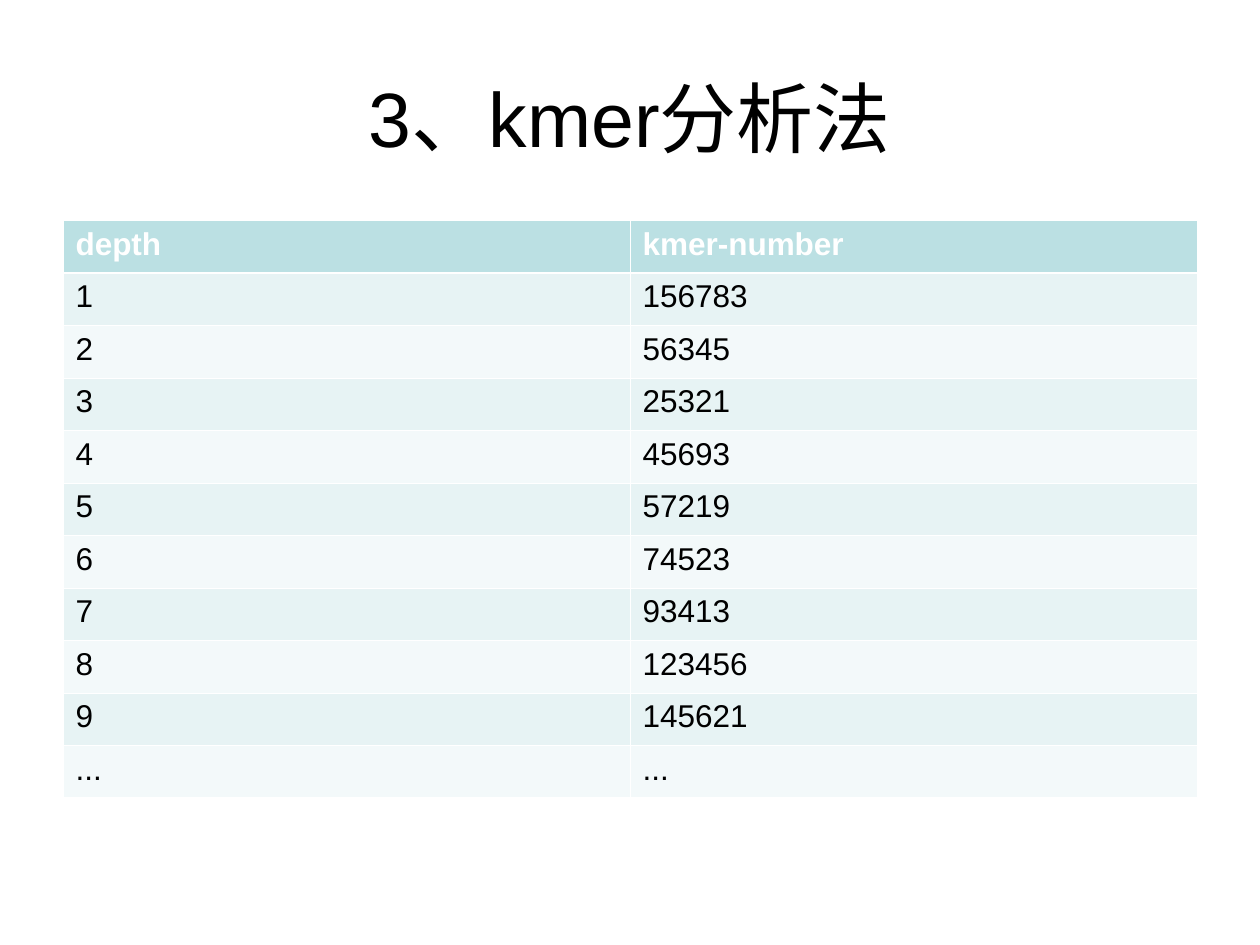
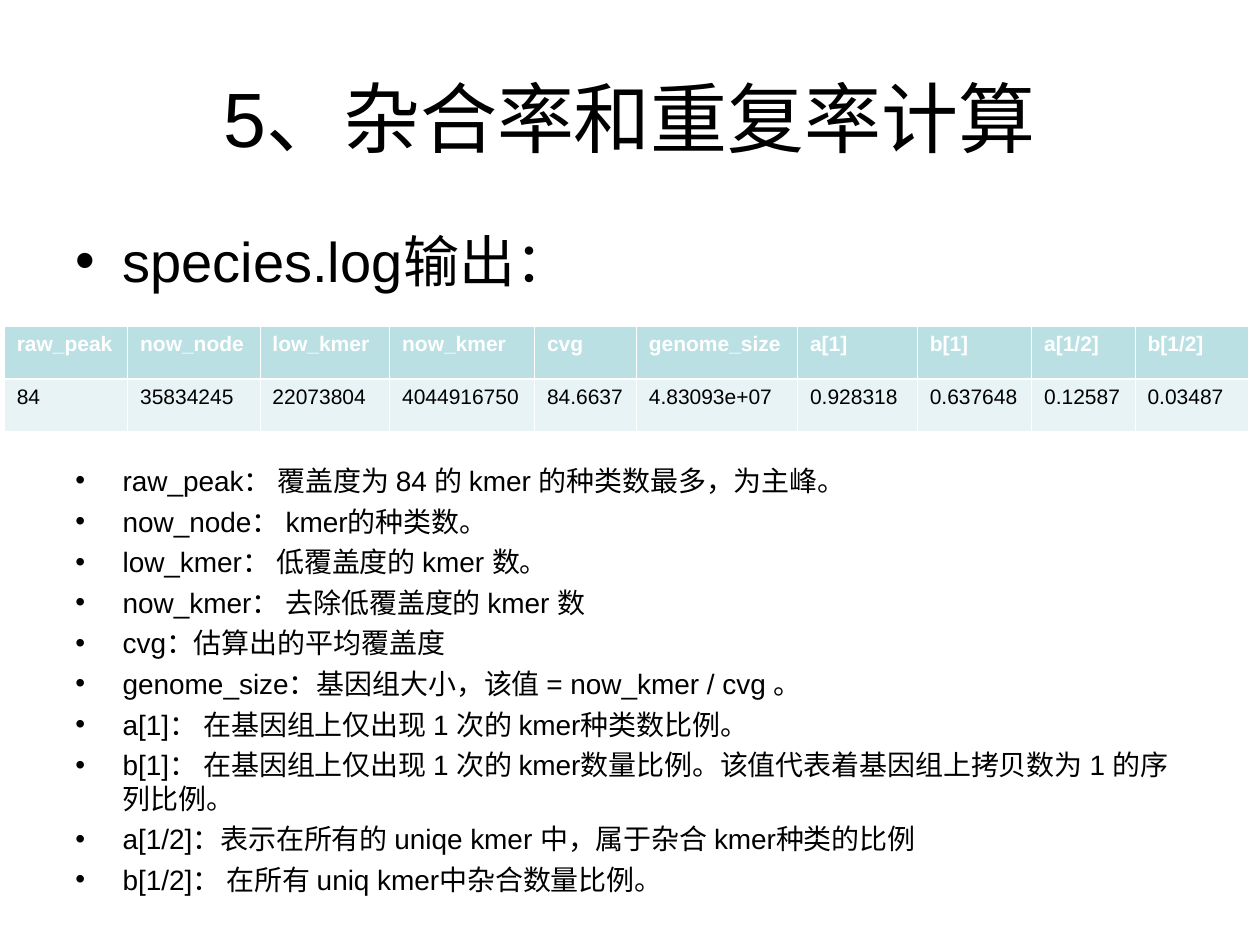
from lxml import etree
from pptx import Presentation
from pptx.dml.color import RGBColor
from pptx.enum.lang import MSO_LANGUAGE_ID
from pptx.enum.text import MSO_ANCHOR, PP_ALIGN
from pptx.oxml.ns import qn
from pptx.util import Pt

PX = 3810
FONT = "Arial"
BLACK = RGBColor(0x00, 0x00, 0x00)
WHITE = RGBColor(0xFF, 0xFF, 0xFF)
HEADER_FILL = RGBColor(0xBB, 0xE0, 0xE3)
BAND_FILLS = [RGBColor(0xF3, 0xF9, 0xFA), RGBColor(0xE7, 0xF3, 0xF4)]
CENTER = PP_ALIGN.CENTER
MIDDLE = MSO_ANCHOR.MIDDLE
CHINESE = MSO_LANGUAGE_ID.SIMPLIFIED_CHINESE
LEFT, WIDTH = 120, 2160
TITLE_TOP, TITLE_HEIGHT = 72, 300
BODY_TOP, BODY_HEIGHT = 420, 1313
ROW_HEIGHT = 100
INDENT = 90
THIN, THICK = Pt(0.45), Pt(1.47)


def write(para, text, size, color=BLACK, bold=False):
    span = para.add_run()
    span.text = text
    span.font.name = FONT
    span.font.size = Pt(size)
    span.font.bold = bold
    span.font.color.rgb = color
    span.font.language_id = CHINESE


def draw_table(page, left, top, widths, rows, size):
    frame = page.shapes.add_table(
        len(rows), len(widths), left * PX, top * PX,
        sum(widths) * PX, len(rows) * ROW_HEIGHT * PX)
    table = frame.table
    for column, width in zip(table.columns, widths):
        column.width = width * PX
    for i, row in enumerate(rows):
        table.rows[i].height = ROW_HEIGHT * PX
        header = i == 0
        borders = {
            "a:lnL": THIN,
            "a:lnR": THIN,
            "a:lnT": THICK if i == 1 else THIN,
            "a:lnB": THICK if header else THIN,
        }
        for j, text in enumerate(row):
            cell = table.cell(i, j)
            properties = cell._tc.get_or_add_tcPr()
            for side, line_width in borders.items():
                line = etree.SubElement(properties, qn(side), w=str(line_width))
                fill = etree.SubElement(line, qn("a:solidFill"))
                etree.SubElement(fill, qn("a:srgbClr"), val=str(WHITE))
            cell.fill.solid()
            cell.fill.fore_color.rgb = HEADER_FILL if header else BAND_FILLS[i % 2]
            write(cell.text_frame.paragraphs[0], text, size,
                  WHITE if header else BLACK, header)


deck = Presentation()
deck.slide_width = 2400 * PX
deck.slide_height = 1800 * PX

pages = []
for title in ["3、kmer分析法", "5、杂合率和重复率计算"]:
    page = deck.slides.add_slide(deck.slide_layouts[6])
    box = page.shapes.add_textbox(LEFT * PX, TITLE_TOP * PX, WIDTH * PX, TITLE_HEIGHT * PX)
    box.text_frame.word_wrap = True
    box.text_frame.vertical_anchor = MIDDLE
    para = box.text_frame.paragraphs[0]
    para.alignment = CENTER
    write(para, title, 44)
    pages.append(page)
depth_page, log_page = pages

kmer_numbers = ["156783", "56345", "25321", "45693", "57219",
                "74523", "93413", "123456", "145621"]
depth_rows = [("depth", "kmer-number")]
for depth, number in enumerate(kmer_numbers, 1):
    depth_rows.append((str(depth), number))
depth_rows.append(("...", "..."))
draw_table(depth_page, LEFT, BODY_TOP, [WIDTH // 2] * 2, depth_rows, 18)

log_items = [
    "species.log输出：",
    "raw_peak： 覆盖度为 84 的 kmer 的种类数最多，为主峰。",
    "now_node： kmer的种类数。",
    "low_kmer： 低覆盖度的 kmer 数。",
    "now_kmer： 去除低覆盖度的 kmer 数",
    "cvg：估算出的平均覆盖度",
    "genome_size：基因组大小，该值 = now_kmer / cvg 。",
    "a[1]： 在基因组上仅出现 1 次的 kmer种类数比例。",
    "b[1]： 在基因组上仅出现 1 次的 kmer数量比例。该值代表着基因组上拷贝数为 1 的序列比例。",
    "a[1/2]：表示在所有的 uniqe kmer 中，属于杂合 kmer种类的比例",
    "b[1/2]： 在所有 uniq kmer中杂合数量比例。",
]
box = log_page.shapes.add_textbox(LEFT * PX, BODY_TOP * PX, WIDTH * PX, BODY_HEIGHT * PX)
box.text_frame.word_wrap = True
for i, item in enumerate(log_items):
    para = box.text_frame.paragraphs[0] if i == 0 else box.text_frame.add_paragraph()
    properties = para._p.get_or_add_pPr()
    properties.set("marL", str(INDENT * PX))
    properties.set("indent", str(-INDENT * PX))
    etree.SubElement(properties, qn("a:buFont"), typeface=FONT)
    etree.SubElement(properties, qn("a:buChar"), char="•")
    if i > 0:
        para.space_before = Pt(97 if i == 1 else 4)
    write(para, item, 32 if i == 0 else 16)

log_rows = [
    ("raw_peak", "now_node", "low_kmer", "now_kmer", "cvg",
     "genome_size", "a[1]", "b[1]", "a[1/2]", "b[1/2]"),
    ("84", "35834245", "22073804", "4044916750", "84.6637",
     "4.83093e+07", "0.928318", "0.637648", "0.12587", "0.03487"),
]
log_widths = [235, 252, 247, 276, 194, 307, 228, 218, 197, 216]
draw_table(log_page, 8, 622, log_widths, log_rows, 12)

deck.save("out.pptx")
